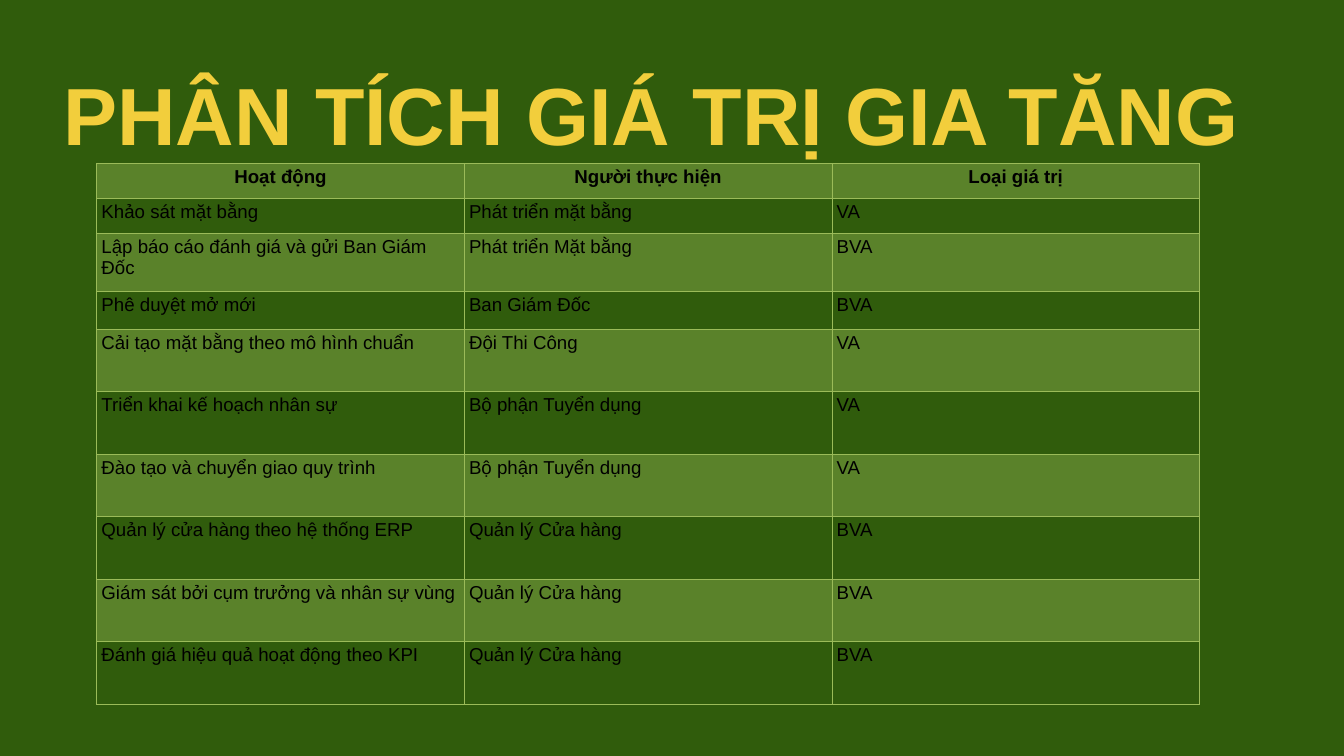
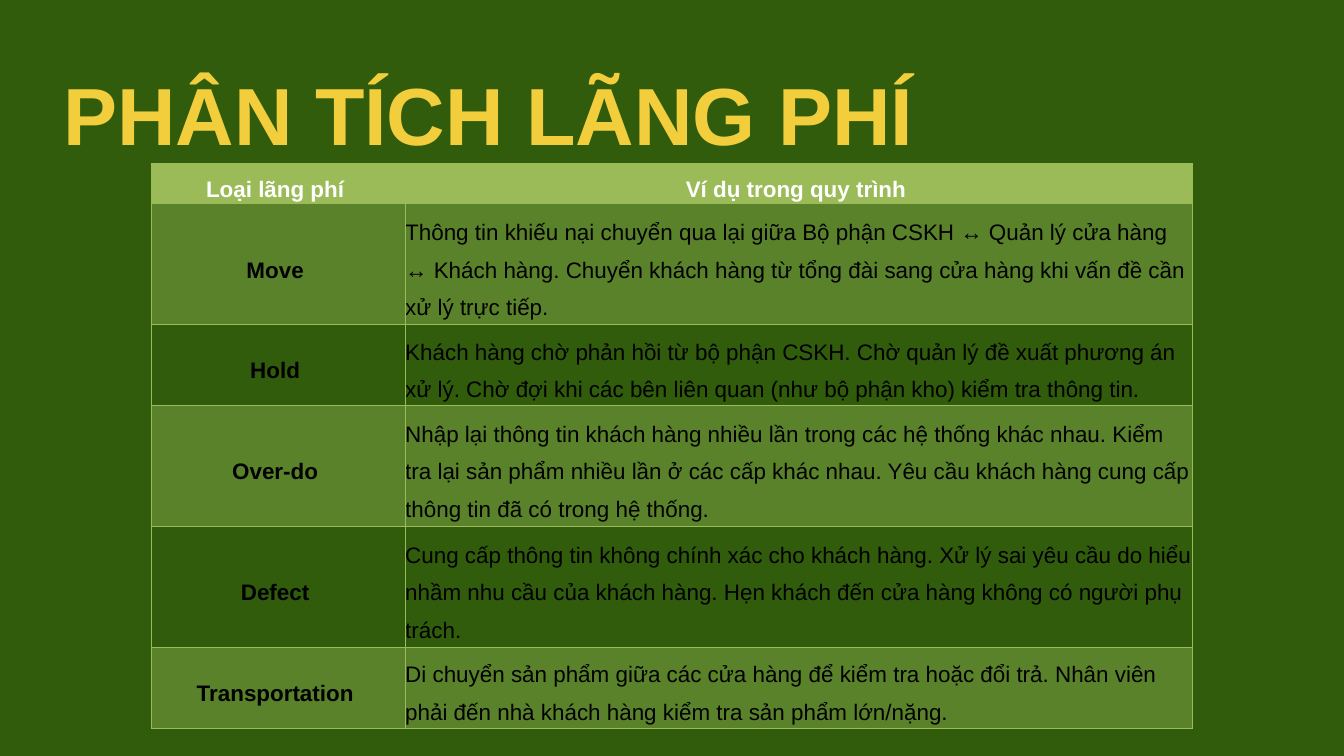
"""Build two slides of process analysis tables."""
from dataclasses import dataclass

from lxml.etree import SubElement
from pptx import Presentation
from pptx.dml.color import RGBColor
from pptx.enum.text import MSO_ANCHOR, MSO_AUTO_SIZE, PP_ALIGN
from pptx.oxml.ns import qn
from pptx.util import Emu, Pt

PX = 9144
FONT = "Arial"
DARK_GREEN = RGBColor(0x30, 0x5C, 0x0C)
LIGHT_GREEN = RGBColor(0x9B, 0xBB, 0x59)
GOLD = RGBColor(0xF2, 0xCE, 0x3C)
BLACK = RGBColor(0, 0, 0)
WHITE = RGBColor(0xFF, 0xFF, 0xFF)
TABLE_TOP = 243
BAND_ALPHA = 40


@dataclass(frozen=True)
class TableStyle:
    """Look of one table; band_start is the first translucent row."""

    size: int
    header_color: RGBColor
    band_start: int
    margin_x: int
    margin_y: int
    anchor: MSO_ANCHOR
    spacing: float
    bold_labels: bool


@dataclass(frozen=True)
class TableSlide:
    """A titled slide holding one table."""

    title: str
    left: int
    cols: list[int]
    heights: list[int]
    rows: list[tuple[str, ...]]
    style: TableStyle


VALUE_STYLE = TableStyle(20, BLACK, 0, 7, 5, MSO_ANCHOR.TOP, 1.0, False)
WASTE_STYLE = TableStyle(24, WHITE, 1, 0, 0, MSO_ANCHOR.MIDDLE, 1.5, True)

SLIDES = [
    TableSlide(
        "PHÂN TÍCH GIÁ TRỊ GIA TĂNG", 144, [547] * 3, [52, 52, 86, 57] + [93] * 6,
        [
            ("Hoạt động", "Người thực hiện", "Loại giá trị"),
            ("Khảo sát mặt bằng", "Phát triển mặt bằng", "VA"),
            ("Lập báo cáo đánh giá và gửi Ban Giám Đốc", "Phát triển Mặt bằng", "BVA"),
            ("Phê duyệt mở mới", "Ban Giám Đốc", "BVA"),
            ("Cải tạo mặt bằng theo mô hình chuẩn", "Đội Thi Công", "VA"),
            ("Triển khai kế hoạch nhân sự", "Bộ phận Tuyển dụng", "VA"),
            ("Đào tạo và chuyển giao quy trình", "Bộ phận Tuyển dụng", "VA"),
            ("Quản lý cửa hàng theo hệ thống ERP", "Quản lý Cửa hàng", "BVA"),
            ("Giám sát bởi cụm trưởng và nhân sự vùng", "Quản lý Cửa hàng", "BVA"),
            ("Đánh giá hiệu quả hoạt động theo KPI", "Quản lý Cửa hàng", "BVA"),
        ],
        VALUE_STYLE,
    ),
    TableSlide(
        "PHÂN TÍCH LÃNG PHÍ", 225, [378, 1172], [53, 173, 113, 173, 173, 113],
        [
            ("Loại lãng phí ", "Ví dụ trong quy trình "),
            ("Move ", "Thông tin khiếu nại chuyển qua lại giữa Bộ phận CSKH ↔ Quản lý cửa "
             "hàng ↔ Khách hàng. Chuyển khách hàng từ tổng đài sang cửa hàng khi vấn đề "
             "cần xử lý trực tiếp. "),
            ("Hold ", "Khách hàng chờ phản hồi từ bộ phận CSKH. Chờ quản lý đề xuất phương "
             "án xử lý. Chờ đợi khi các bên liên quan (như bộ phận kho) kiểm tra thông tin. "),
            ("Over-do ", "Nhập lại thông tin khách hàng nhiều lần trong các hệ thống khác "
             "nhau. Kiểm tra lại sản phẩm nhiều lần ở các cấp khác nhau. Yêu cầu khách "
             "hàng cung cấp thông tin đã có trong hệ thống. "),
            ("Defect ", "Cung cấp thông tin không chính xác cho khách hàng. Xử lý sai yêu "
             "cầu do hiểu nhầm nhu cầu của khách hàng. Hẹn khách đến cửa hàng không có "
             "người phụ trách. "),
            ("Transportation ", "Di chuyển sản phẩm giữa các cửa hàng để kiểm tra hoặc đổi "
             "trả. Nhân viên phải đến nhà khách hàng kiểm tra sản phẩm lớn/nặng. "),
        ],
        WASTE_STYLE,
    ),
]


def px(n: int) -> Emu:
    """Turn px into EMU."""
    return Emu(n * PX)


def style_text(p, size: float, color: RGBColor, bold: bool, spacing: float) -> None:
    """Format a paragraph and its runs."""
    p.line_spacing = spacing
    for r in p.runs:
        r.font.name = FONT
        r.font.size = Pt(size)
        r.font.bold = bold
        r.font.color.rgb = color


def add_title(s, text: str) -> None:
    """Draw the gold slide title."""
    tf = s.shapes.add_textbox(px(94), px(90), px(1891), px(148)).text_frame
    tf.margin_left = tf.margin_right = tf.margin_top = tf.margin_bottom = 0
    tf.word_wrap = True
    tf.auto_size = MSO_AUTO_SIZE.SHAPE_TO_FIT_TEXT
    tf.text = text
    style_text(tf.paragraphs[0], 86.8, GOLD, True, 1.04)


def set_borders(cell) -> None:
    """Give a cell thin light green borders on all sides."""
    tc_pr = cell._tc.get_or_add_tcPr()
    for side in "LRTB":
        ln = SubElement(tc_pr, qn(f"a:ln{side}"), w=str(Pt(0.75)))
        fill = SubElement(ln, qn("a:solidFill"))
        SubElement(fill, qn("a:srgbClr"), val=str(LIGHT_GREEN))


def set_fill(cell, row: int, band_start: int) -> None:
    """Fill a solid header, a translucent band or nothing."""
    if row >= band_start and (row - band_start) % 2:
        cell.fill.background()
        return
    cell.fill.solid()
    cell.fill.fore_color.rgb = LIGHT_GREEN
    if row >= band_start:
        color = cell._tc.tcPr.find(qn("a:solidFill"))[0]
        SubElement(color, qn("a:alpha"), val=str(BAND_ALPHA * 1000))


def fill_cell(cell, text: str, row: int, col: int, style: TableStyle) -> None:
    """Write and format one table cell."""
    cell.margin_left = cell.margin_right = px(style.margin_x)
    cell.margin_top = cell.margin_bottom = px(style.margin_y)
    cell.vertical_anchor = style.anchor
    set_borders(cell)
    set_fill(cell, row, style.band_start)
    heading = row == 0 or (style.bold_labels and col == 0)
    p = cell.text_frame.paragraphs[0]
    p.text = text
    p.alignment = PP_ALIGN.CENTER if heading else PP_ALIGN.LEFT
    color = style.header_color if row == 0 else BLACK
    style_text(p, style.size, color, heading, style.spacing)


def add_grid(s, data: TableSlide) -> None:
    """Draw the slide's table."""
    table = s.shapes.add_table(
        len(data.rows), len(data.cols), px(data.left), px(TABLE_TOP),
        px(sum(data.cols)), px(sum(data.heights)),
    ).table
    table.first_row = table.horz_banding = False
    for column, width in zip(table.columns, data.cols):
        column.width = px(width)
    for i, (height, texts) in enumerate(zip(data.heights, data.rows)):
        table.rows[i].height = px(height)
        for j, text in enumerate(texts):
            fill_cell(table.cell(i, j), text, i, j, data.style)


def main() -> None:
    """Build and save the presentation."""
    prs = Presentation()
    prs.slide_width, prs.slide_height = px(2000), px(1125)
    for data in SLIDES:
        s = prs.slides.add_slide(prs.slide_layouts[6])
        s.background.fill.solid()
        s.background.fill.fore_color.rgb = DARK_GREEN
        add_title(s, data.title)
        add_grid(s, data)
    prs.save("out.pptx")


if __name__ == "__main__":
    main()
